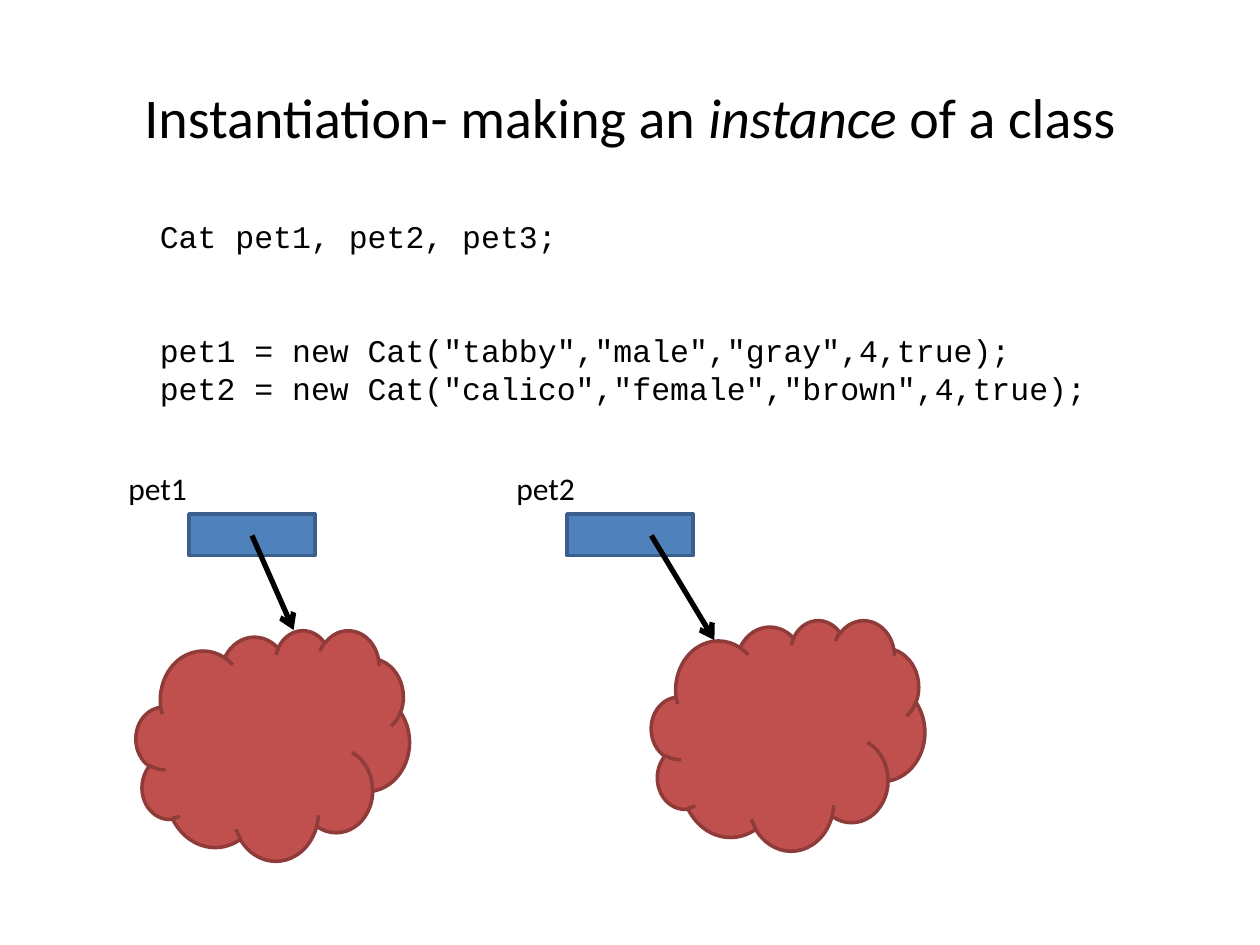
from lxml import etree
from pptx import Presentation
from pptx.dml.color import RGBColor
from pptx.enum.shapes import MSO_CONNECTOR, MSO_SHAPE
from pptx.enum.text import MSO_ANCHOR, MSO_AUTO_SIZE, PP_ALIGN
from pptx.oxml.ns import qn
from pptx.util import Inches, Pt

RECT = MSO_SHAPE.RECTANGLE
CLOUD = MSO_SHAPE.CLOUD
STRAIGHT = MSO_CONNECTOR.STRAIGHT
MIDDLE = MSO_ANCHOR.MIDDLE
CENTER = PP_ALIGN.CENTER
GROW = MSO_AUTO_SIZE.SHAPE_TO_FIT_TEXT
NO_FIT = MSO_AUTO_SIZE.NONE

CODE = [
    ("Cat pet1, pet2, pet3;", 0),
    ('pet1 = new Cat("tabby","male","gray",4,true);', 44),
    ('pet2 = new Cat("calico","female","brown",4,true);', 0),
]
PETS = [
    ("pet1", (0.92, 3.67), (1.5, 4.08), (1.08, 5), (2, 4.25), (2.33, 5)),
    ("pet2", (4, 3.67), (4.5, 4.08), (5.17, 4.92), (5.17, 4.25), (5.67, 5.08)),
]


def rgb(value):
    return RGBColor.from_string(value)


class Deck:
    body_font = "Calibri"
    code_font = "Courier New"
    ink = "000000"
    blue, blue_edge = "4F81BD", "3A5F8C"
    red, red_edge = "C0504D", "8E3B39"

    def __init__(self, prs):
        self.s = prs.slides.add_slide(prs.slide_layouts[5])

    def style(self, r, font, size):
        r.font.name = font
        r.font.size = Pt(size)
        r.font.color.rgb = rgb(self.ink)

    def title(self, parts):
        sp = self.s.shapes.title
        sp.left, sp.top = Inches(0.5), Inches(0.3)
        sp.width, sp.height = Inches(9), Inches(1.25)
        tf = sp.text_frame
        tf.auto_size = NO_FIT
        tf.vertical_anchor = MIDDLE
        p = tf.paragraphs[0]
        p.alignment = CENTER
        for text, italic in parts:
            r = p.add_run()
            r.text = text
            self.style(r, self.body_font, 32)
            r.font.italic = italic

    def text(self, at, size, lines, font):
        sp = self.s.shapes.add_textbox(*map(Inches, at + size))
        tf = sp.text_frame
        tf.word_wrap = True
        tf.auto_size = GROW
        tf.text = "\n".join(text for text, _ in lines)
        for p, (_, gap) in zip(tf.paragraphs, lines):
            if gap:
                p.space_before = Pt(gap)
            self.style(p.runs[0], font, 18)

    def shape(self, kind, at, size, fill, edge):
        sp = self.s.shapes.add_shape(kind, *map(Inches, at + size))
        sp.shadow.inherit = False
        sp.fill.solid()
        sp.fill.fore_color.rgb = rgb(fill)
        sp.line.color.rgb = rgb(edge)
        sp.line.width = Pt(2)

    def arrow(self, start, end):
        cxn = self.s.shapes.add_connector(STRAIGHT, *map(Inches, start + end))
        cxn.line.color.rgb = rgb(self.ink)
        cxn.line.width = Pt(3)
        ln = cxn.line._get_or_add_ln()
        etree.SubElement(ln, qn("a:tailEnd"), type="arrow")
        etree.SubElement(cxn._element.spPr, qn("a:effectLst"))


def main():
    prs = Presentation()
    prs.slide_width, prs.slide_height = Inches(10), Inches(7.5)
    deck = Deck(prs)
    deck.title([
        ("Instantiation- making an ", False),
        ("instance", True),
        (" of a class", False),
    ])
    deck.text((1.17, 1.67), (7.75, 1.92), CODE, deck.code_font)
    for name, label, variable, cloud, start, end in PETS:
        deck.shape(RECT, variable, (1, 0.33), deck.blue, deck.blue_edge)
        deck.text(label, (0.92, 0.4), [(name, 0)], deck.body_font)
        deck.shape(CLOUD, cloud, (2.17, 1.83), deck.red, deck.red_edge)
        deck.arrow(start, end)
    prs.save("out.pptx")


if __name__ == "__main__":
    main()
